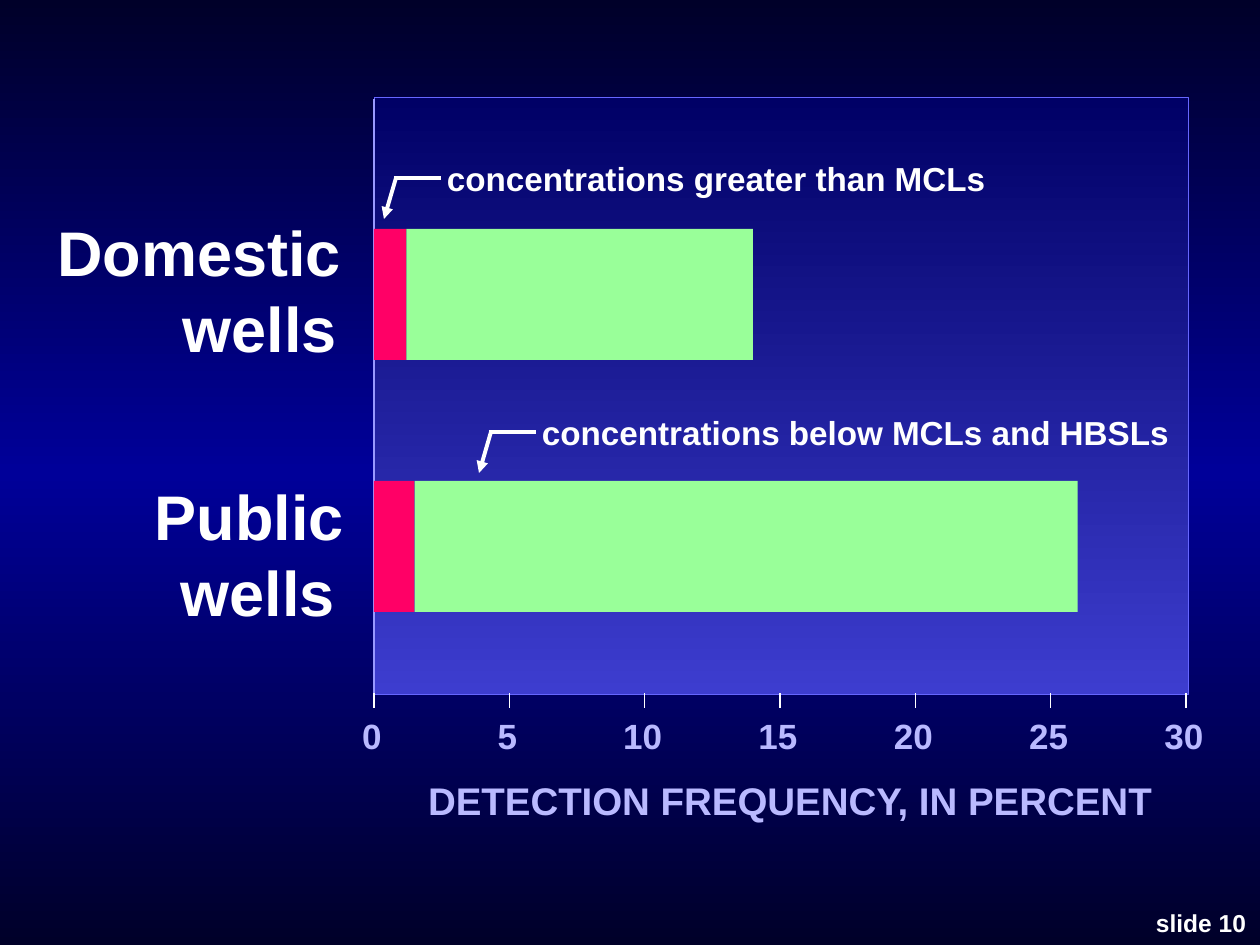
from copy import deepcopy
from pptx import Presentation
from pptx.dml.color import RGBColor
from pptx.enum.shapes import MSO_CONNECTOR, MSO_SHAPE
from pptx.enum.text import PP_ALIGN as AL
from pptx.oxml.ns import qn
from pptx.oxml.xmlchemy import OxmlElement as El
from pptx.util import Emu, Pt

WHITE, LAVENDER = "FFFFFF", "B9B9FF"
RED, GREEN = "FF0066", "99FF99"
AXIS_MAX, AXIS_STEP = 30, 5


def px(n):
    """Turn pixels into EMU."""
    return Emu(round(n * 914400 / 126))


def rgb(value):
    """Turn a hex string into a colour."""
    return RGBColor.from_string(value)


def paint_gradient(fill, element, colors):
    """Fill with evenly spaced colours from top to bottom."""
    fill.gradient()
    fill.gradient_angle = 270
    stops = element.find(".//" + qn("a:gsLst"))
    while len(stops) < len(colors):
        stops.append(deepcopy(stops[0]))
    for i, (stop, color) in enumerate(zip(fill.gradient_stops, colors)):
        stop.position = i / (len(colors) - 1)
        stop.color.rgb = rgb(color)


def add_rect(s, x, y, w, h, color=None):
    """Add a rectangle without an outline."""
    sp = s.shapes.add_shape(MSO_SHAPE.RECTANGLE, px(x), px(y), px(w), px(h))
    sp.shadow.inherit = False
    sp.line.fill.background()
    if color:
        sp.fill.solid()
        sp.fill.fore_color.rgb = rgb(color)
    return sp


def add_line(s, x1, y1, x2, y2, color=WHITE, width=0.75, arrow=False):
    """Add a straight line, with an arrowhead at its end if asked."""
    ln = s.shapes.add_connector(MSO_CONNECTOR.STRAIGHT, px(x1), px(y1), px(x2), px(y2))
    ln.line.color.rgb = rgb(color)
    ln.line.width = Pt(width)
    if arrow:
        tail = El("a:tailEnd")
        tail.set("type", "triangle")
        ln._element.spPr.find(qn("a:ln")).append(tail)
    ln._element.spPr.append(El("a:effectLst"))


def add_text(s, x, y, w, h, lines, size, color=WHITE, align=AL.LEFT, indent=0):
    """Add bold lines of text, the later ones indented from the right."""
    tf = s.shapes.add_textbox(px(x), px(y), px(w), px(h)).text_frame
    tf.margin_left = tf.margin_right = tf.margin_top = tf.margin_bottom = 0
    tf.word_wrap = True
    for i, line in enumerate(lines):
        p = tf.add_paragraph() if i else tf.paragraphs[0]
        p.alignment = align
        if i and indent:
            p._p.get_or_add_pPr().set("marR", str(px(indent)))
        r = p.add_run()
        r.text = line
        r.font.name, r.font.size, r.font.bold = "Arial", Pt(size), True
        r.font.color.rgb = rgb(color)


def add_plot(s, x, y, w, h):
    """Add the plot area with its axis, ticks and tick labels."""
    panel = add_rect(s, x, y, w + 2, h)
    paint_gradient(panel.fill, panel._element, ["000066", "3D3DCF"])
    panel.line.color.rgb = rgb("6666FF")
    panel.line.width = Pt(0.25)
    add_line(s, x, y + 2, x, y + h + 6, "9999FF")
    for value in range(0, AXIS_MAX + 1, AXIS_STEP):
        tick = x + w * value / AXIS_MAX
        add_line(s, tick, y + h + 14, tick, y + h - 1)
        add_text(s, tick - 27, y + h + 20, 50, 42, [str(value)], 20, LAVENDER, AL.CENTER)
    add_text(s, x + 52, y + h + 83, 728, 47, ["DETECTION FREQUENCY, IN PERCENT"],
             22, LAVENDER, AL.CENTER)


def add_bar(s, x, y, w, h, above, total):
    """Add one stacked bar on an axis of width w."""
    split, end = (w * value / AXIS_MAX for value in (above, total))
    add_rect(s, x, y, split, h, RED)
    add_rect(s, x + split, y, end - split, h, GREEN)


def add_callout(s, x, y, w, text):
    """Add a label with a bent arrow whose elbow is at x, y."""
    add_line(s, x + 1, y, x - 11, y + 41, width=2.25, arrow=True)
    add_line(s, x - 1, y, x + 46, y, width=2.25)
    add_text(s, x + 52, y - 20, w, 40, [text], 19)


def main():
    """Build the slide and save it."""
    prs = Presentation()
    prs.slide_width, prs.slide_height = px(1260), px(945)
    s = prs.slides.add_slide(prs.slide_layouts[6])
    paint_gradient(s.background.fill, s._element, ["000029", "000099", "000029"])
    left, width = 374, 812
    add_plot(s, left, 97, width, 597)
    add_bar(s, left, 229, width, 131, 1.2, 14)
    add_bar(s, left, 481, width, 131, 1.5, 26)
    add_text(s, 30, 214, 311, 151, ["Domestic", "wells"], 36, align=AL.RIGHT, indent=4)
    add_text(s, 120, 478, 224, 151, ["Public", "wells"], 36, align=AL.RIGHT, indent=9)
    add_callout(s, 395, 178, 730, "concentrations greater than MCLs")
    add_callout(s, 490, 432, 660, "concentrations below MCLs and HBSLs")
    add_text(s, 1156, 908, 104, 30, ["slide 10"], 14)
    prs.save("out.pptx")


if __name__ == "__main__":
    main()
